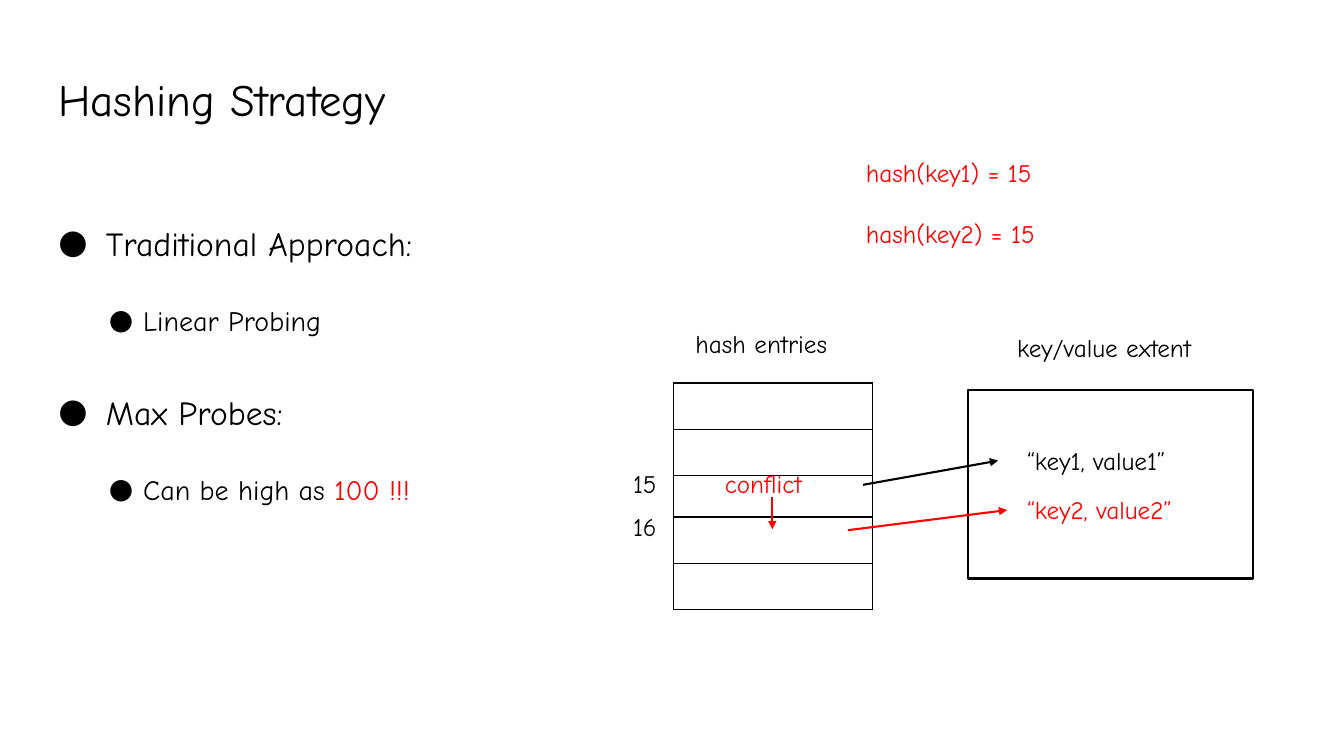
"""Build the Hashing Strategy slide."""
from lxml import etree
from pptx import Presentation
from pptx.dml.color import RGBColor
from pptx.enum.shapes import MSO_CONNECTOR as CONN, MSO_SHAPE as SHAPE
from pptx.oxml import parse_xml
from pptx.oxml.ns import nsdecls, qn
from pptx.util import Pt

PX = 9144
SLIDE = (1333, 750)
FONT = "Comic Neue"
BLACK, RED, WHITE = "000000", "FF0000", "FFFFFF"

TITLE = ("Hashing Strategy", (45, 64, 1242, 84))
BODY_BOX = (45, 168, 1242, 498)
BODY = [
    (0, [("Traditional Approach:", BLACK)]),
    (1, [("Linear Probing", BLACK)]),
    (0, [("Max Probes:", BLACK)]),
    (1, [("Can be high as ", BLACK), ("100 !!!", RED)]),
]
LEVELS = [
    dict(size=24, before=10, left=47, hang=47),
    dict(size=20, before=5, left=84, hang=34),
]
ENTRIES = (668, 380, 197)
ENTRY_HEIGHTS = [46, 46, 41, 46, 46]
EXTENT = (960, 387, 283, 187)
LABELS = [
    (["“key1, value1”"], (1009, 437, 234, 40), BLACK),
    (["“key2, value2”"], (1009, 485, 234, 40), RED),
    (["hash entries"], (680, 321, 184, 40), BLACK),
    (["key/value extent"], (999, 325, 229, 40), BLACK),
    (["hash(key1) = 15", "hash(key2) = 15"], (849, 151, 356, 101), RED),
    (["15"], (618, 460, 62, 40), BLACK),
    (["16"], (618, 502, 62, 40), BLACK),
    (["conflict"], (709, 460, 147, 42), RED),
]
ARROWS = [
    ((856, 481), (990, 457), BLACK),
    ((766, 493), (766, 525), RED),
    ((841, 526), (999, 506), RED),
]


def emu(lengths):
    return [n * PX for n in lengths]


def rgb(color):
    return RGBColor.from_string(color)


def add_bullet(p, left, hang):
    pPr = p._p.get_or_add_pPr()
    pPr.set("marL", str(left * PX))
    pPr.set("indent", str(-hang * PX))
    clr = etree.SubElement(pPr, qn("a:buClr"))
    etree.SubElement(clr, qn("a:srgbClr"), val=BLACK)
    etree.SubElement(pPr, qn("a:buFont"), typeface=FONT)
    etree.SubElement(pPr, qn("a:buChar"), char="●")


def add_text(s, paragraphs, box, size=18, inset=None, spacing=None, before=0):
    tf = s.shapes.add_textbox(*emu(box)).text_frame
    tf.word_wrap = True
    if inset is not None:
        tf.margin_left = tf.margin_right = inset * PX
        tf.margin_top = tf.margin_bottom = inset * PX
    for i, (level, runs) in enumerate(paragraphs):
        p = tf.add_paragraph() if i else tf.paragraphs[0]
        style = dict(size=size, before=before) if level is None else LEVELS[level]
        if spacing:
            p.line_spacing = spacing
        if i:
            p.space_before = Pt(style["before"])
        if level is not None:
            p.level = level
            add_bullet(p, style["left"], style["hang"])
        for text, color in runs:
            r = p.add_run()
            r.text = text
            r.font.size = Pt(style["size"])
            r.font.name = FONT
            r.font.color.rgb = rgb(color)


def add_entries(s):
    left, top, width = ENTRIES
    box = emu((left, top, width, sum(ENTRY_HEIGHTS)))
    table = s.shapes.add_table(len(ENTRY_HEIGHTS), 1, *box).table
    table.first_row = table.horz_banding = False
    for row, height in zip(table.rows, ENTRY_HEIGHTS):
        row.height = height * PX
        cell = row.cells[0]
        cell.margin_top = cell.margin_bottom = 0
        cell.fill.background()
        tcPr = cell._tc.get_or_add_tcPr()
        for i, side in enumerate("LRTB"):
            tcPr.insert(i, parse_xml(
                f'<a:ln{side} {nsdecls("a")} w="{Pt(1)}"><a:solidFill>'
                f'<a:srgbClr val="{BLACK}"/></a:solidFill></a:ln{side}>'))


def add_extent(s):
    sp = s.shapes.add_shape(SHAPE.RECTANGLE, *emu(EXTENT))
    sp.shadow.inherit = False
    sp.fill.solid()
    sp.fill.fore_color.rgb = rgb(WHITE)
    sp.line.color.rgb = rgb(BLACK)
    sp.line.width = Pt(1.5)


def add_arrow(s, start, end, color):
    line = s.shapes.add_connector(CONN.STRAIGHT, *emu(start + end))
    line.line.color.rgb = rgb(color)
    line.line.width = Pt(1.5)
    etree.SubElement(line.line._get_or_add_ln(), qn("a:tailEnd"), type="triangle")
    etree.SubElement(line._element.spPr, qn("a:effectLst"))


def main():
    prs = Presentation()
    prs.slide_width, prs.slide_height = emu(SLIDE)
    s = prs.slides.add_slide(prs.slide_layouts[6])
    title, box = TITLE
    add_text(s, [(None, [(title, BLACK)])], box, size=32, inset=13, spacing=0.9)
    add_text(s, BODY, BODY_BOX, inset=13, spacing=2.0)
    add_entries(s)
    add_extent(s)
    for lines, box, color in LABELS:
        add_text(s, [(None, [(t, color)]) for t in lines], box, before=22)
    for arrow in ARROWS:
        add_arrow(s, *arrow)
    prs.save("out.pptx")


if __name__ == "__main__":
    main()
